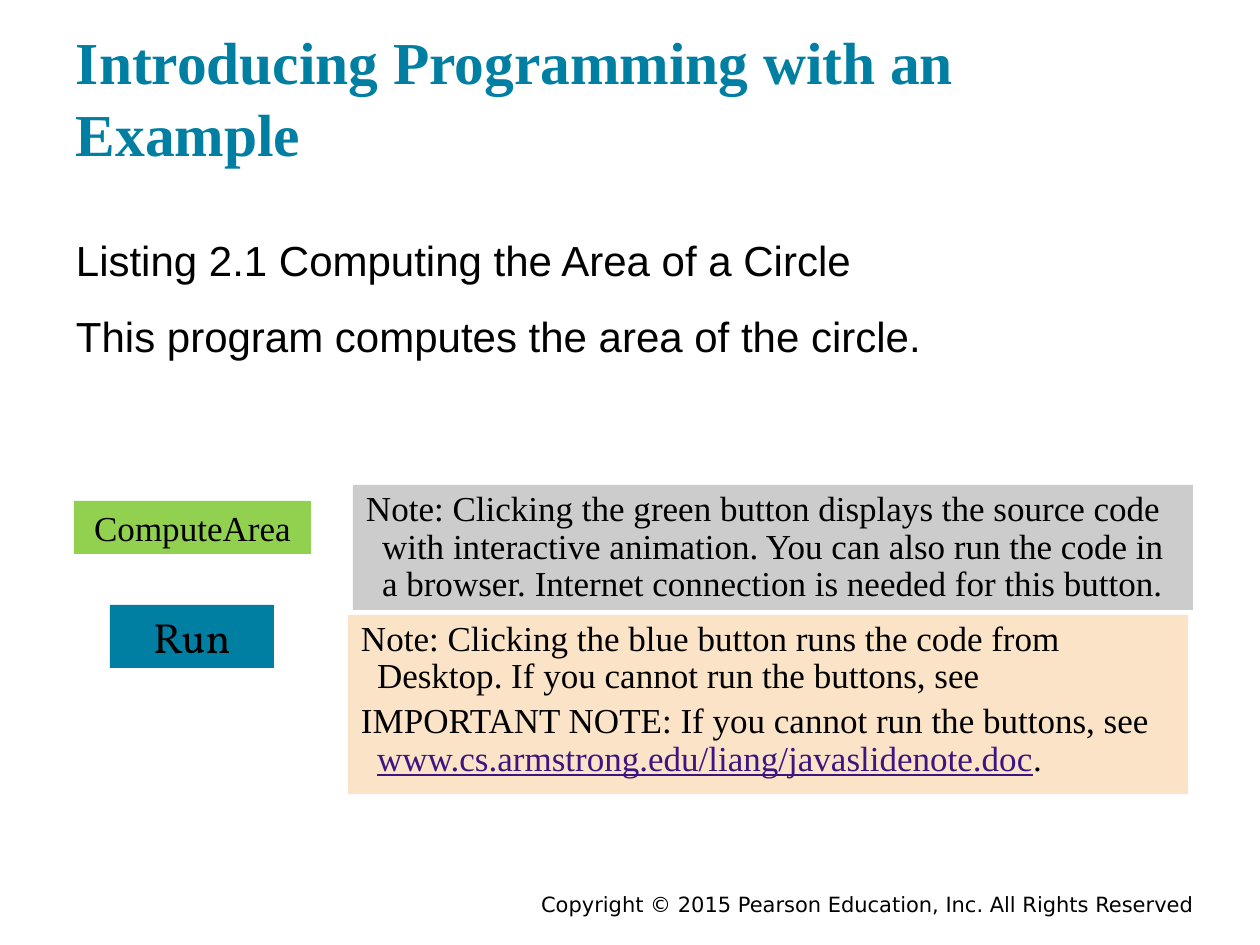
from pptx import Presentation
from pptx.dml.color import RGBColor
from pptx.enum.shapes import MSO_SHAPE
from pptx.enum.text import MSO_ANCHOR, PP_ALIGN
from pptx.util import Emu, Pt

PX = 914400 // 126
RECT = MSO_SHAPE.RECTANGLE
TOP, MID, LOW = MSO_ANCHOR.TOP, MSO_ANCHOR.MIDDLE, MSO_ANCHOR.BOTTOM
LEFT, MIDDLE, RIGHT = PP_ALIGN.LEFT, PP_ALIGN.CENTER, PP_ALIGN.RIGHT

BLACK = RGBColor(0x00, 0x00, 0x00)
BLUE = RGBColor(0x00, 0x7F, 0xA3)
GREEN = RGBColor(0x92, 0xD0, 0x50)
GRAY = RGBColor(0xCC, 0xCC, 0xCC)
PEACH = RGBColor(0xFB, 0xE3, 0xC8)
PURPLE = RGBColor(0x3C, 0x15, 0x81)

SERIF = "Times New Roman"
FOOTER = "Copyright © 2015 Pearson Education, Inc. All Rights Reserved"
TITLE = "Introducing Programming with an Example"
BODY = [
    "Listing 2.1 Computing the Area of a Circle",
    "This program computes the area of the circle.",
]
LINK = "www.cs.armstrong.edu/liang/javaslidenote.doc"

# place in px, label, font, size, fill
BUTTONS = [
    ((74, 501, 237, 53), "ComputeArea", SERIF, 20, GREEN),
    ((110, 605, 164, 63), "Run", "Vollkorn", 24, BLUE),
]
# place in px, fill, paragraphs as lists of runs
NOTES = [
    ((353, 485, 840, 125), GRAY, [
        ["Note: Clicking the green button displays the source code with "
         "interactive animation. You can also run the code in a browser. "
         "Internet connection is needed for this button."],
    ]),
    ((348, 615, 840, 179), PEACH, [
        ["Note: Clicking the blue button runs the code from Desktop. "
         "If you cannot run the buttons, see"],
        ["IMPORTANT NOTE: If you cannot run the buttons, see ", LINK, "."],
    ]),
]


def px(n):
    return Emu(n * PX)


def add_box(place, fill=None):
    """Add a filled rectangle, or a plain text box when there is no fill."""
    spot = [px(n) for n in place]
    if fill is None:
        return slide.shapes.add_textbox(*spot)
    box = slide.shapes.add_shape(RECT, *spot)
    box.shadow.inherit = False
    box.fill.solid()
    box.fill.fore_color.rgb = fill
    box.line.fill.background()
    return box


def write(box, paras, font, size, color=BLACK, bold=False, align=LEFT,
          anchor=TOP, inset=6, gap=0, hang=0, lead=None):
    """Fill a box; gap is in points, inset and hang are in px."""
    frame = box.text_frame
    frame.word_wrap = True
    frame.vertical_anchor = anchor
    frame.margin_left = frame.margin_right = px(13)
    frame.margin_top = frame.margin_bottom = px(inset)
    for i, runs in enumerate(paras):
        para = frame.add_paragraph() if i else frame.paragraphs[0]
        para.alignment = align
        para.line_spacing = lead
        if i:
            para.space_before = Pt(gap)
        if hang:
            props = para._p.get_or_add_pPr()
            props.set("marL", str(px(hang)))
            props.set("indent", str(-px(hang)))
        for text in runs:
            run = para.add_run()
            run.text = text
            run.font.name = font
            run.font.size = Pt(size)
            run.font.bold = bold
            run.font.underline = text == LINK
            run.font.color.rgb = PURPLE if text == LINK else color


deck = Presentation()
deck.slide_width, deck.slide_height = px(1260), px(945)
slide = deck.slides.add_slide(deck.slide_layouts[6])

write(add_box((220, 886, 987, 28)), [[FOOTER]], "DejaVu Sans", 12, align=RIGHT)
write(add_box((63, 30, 1134, 151)), [[TITLE]], SERIF, 34, BLUE, bold=True,
      anchor=LOW, inset=13)
write(add_box((63, 221, 1134, 161)), [[line] for line in BODY], "Arial", 24,
      inset=13, gap=15)
for place, label, font, size, fill in BUTTONS:
    write(add_box(place, fill), [[label]], font, size, align=MIDDLE, anchor=MID)
for place, fill, paras in NOTES:
    write(add_box(place, fill), paras, SERIF, 20, gap=4, hang=16, lead=0.9)

deck.save("out.pptx")
